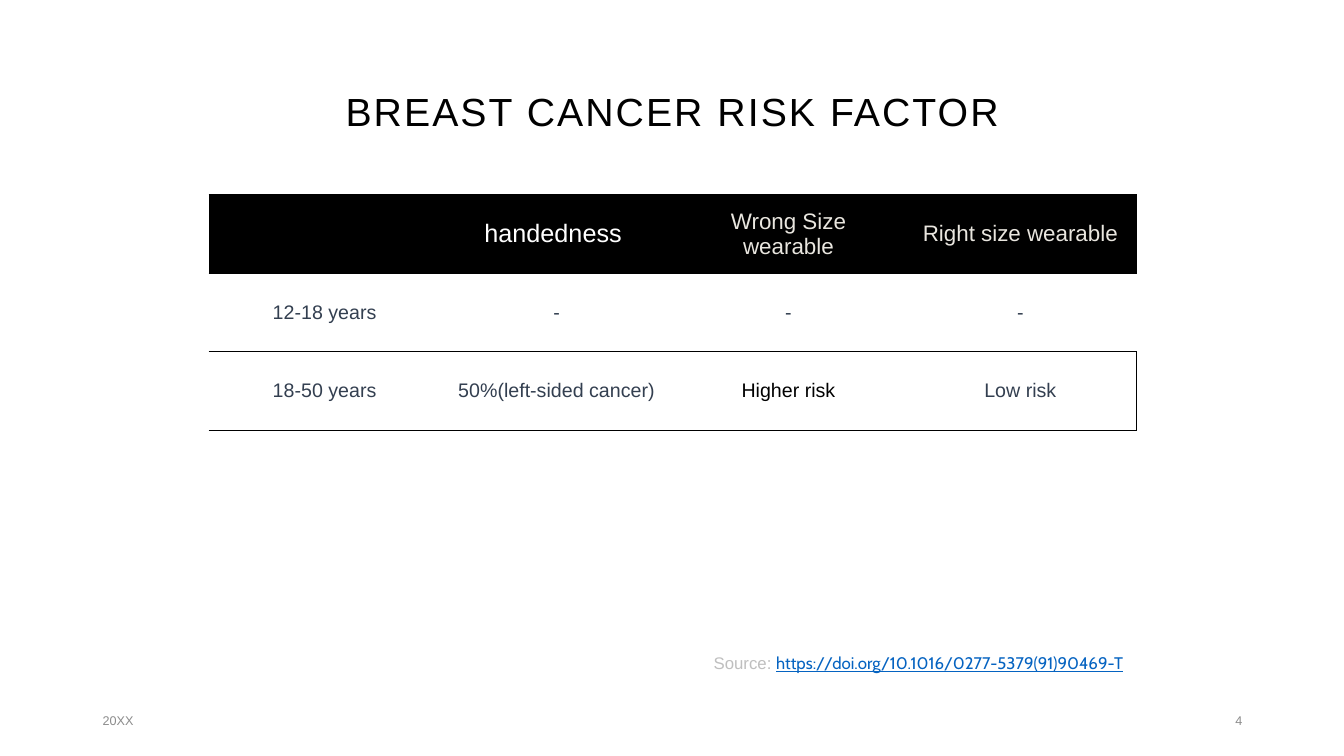
from dataclasses import dataclass

from lxml.etree import SubElement
from pptx import Presentation
from pptx.dml.color import RGBColor
from pptx.enum.text import MSO_ANCHOR as Anchor, PP_ALIGN as Align
from pptx.oxml.ns import qn
from pptx.slide import Slide
from pptx.table import _Cell as Cell
from pptx.util import Inches, Pt

BLACK = RGBColor(0x00, 0x00, 0x00)
WHITE = RGBColor(0xFF, 0xFF, 0xFF)
CREAM = RGBColor(0xE9, 0xE6, 0xDF)
SLATE = RGBColor(0x33, 0x3F, 0x50)
GREY = RGBColor(0x8C, 0x8C, 0x8C)
SILVER = RGBColor(0xBF, 0xBF, 0xBF)
BLUE = RGBColor(0x05, 0x63, 0xC1)


@dataclass
class Span:
    text: str
    size: float
    color: RGBColor
    font: str = "Arial"
    under: bool = False


@dataclass
class Label:
    left: float
    top: float
    width: float
    height: float
    spans: list[Span]
    align: Align = Align.LEFT
    anchor: Anchor = Anchor.MIDDLE


def write(para, spans: list[Span], align: Align) -> None:
    para.alignment = align
    for span in spans:
        run = para.add_run()
        run.text = span.text
        font = run.font
        font.name, font.size = span.font, Pt(span.size)
        font.color.rgb = span.color
        if span.under:
            font.underline = True


def draw_label(slide: Slide, label: Label):
    box = slide.shapes.add_textbox(Inches(label.left), Inches(label.top),
                                   Inches(label.width), Inches(label.height))
    frame = box.text_frame
    frame.word_wrap = True
    frame.vertical_anchor = label.anchor
    write(frame.paragraphs[0], label.spans, label.align)
    return frame.paragraphs[0]


def set_edges(cell: Cell, sides: str) -> None:
    """Rule the given sides (L, R, T, B) and clear the others."""
    props = cell._tc.get_or_add_tcPr()
    for spot, side in enumerate("LRTB"):
        line = SubElement(props, qn(f"a:ln{side}"), w=str(Pt(0.5)))
        if side in sides:
            fill = SubElement(line, qn("a:solidFill"))
            SubElement(fill, qn("a:srgbClr"), val=str(BLACK))
        else:
            SubElement(line, qn("a:noFill"))
        props.insert(spot, line)


def draw_table(slide: Slide, rows: list[list[Span]]) -> None:
    count, wide = len(rows), len(rows[0])
    table = slide.shapes.add_table(
        count, wide, Inches(2.07), Inches(1.93),
        Inches(2.3 * wide), Inches(0.78 * count)).table
    table.first_row = table.horz_banding = False
    for y, row in enumerate(rows):
        for x, span in enumerate(row):
            cell = table.cell(y, x)
            cell.vertical_anchor = Anchor.MIDDLE
            if span.text:
                write(cell.text_frame.paragraphs[0], [span], Align.CENTER)
            if y == 0:
                cell.fill.solid()
                cell.fill.fore_color.rgb = BLACK
            else:
                cell.fill.background()
            # The last row is closed on its right side only
            closed = x == wide - 1 and y != 1
            set_edges(cell, "TB" + ("R" if closed else ""))


TITLE = Label(0.92, 0.4, 11.5, 1.45,
              [Span("BREAST CANCER RISK FACTOR", 28, BLACK)], Align.CENTER)
NOTES = [
    Label(0.92, 6.95, 3, 0.4, [Span("20XX", 9, GREY)]),
    Label(9.42, 6.95, 3, 0.4, [Span("4", 9, GREY)], Align.RIGHT),
    Label(6.98, 6.43, 5.44, 0.3,
          [Span("Source: ", 12, SILVER),
           Span("https://doi.org/10.1016/0277-5379(91)90469-T", 12, BLUE,
                "Cabin", True)], anchor=Anchor.TOP),
]
ROWS = [
    [Span("", 16, CREAM), Span("handedness ", 18, WHITE),
     Span("Wrong Size wearable", 16, CREAM),
     Span("Right size wearable", 16, CREAM)],
    [Span(text, 14, SLATE) for text in ("12-18 years", "-", "-", "-")],
    [Span("18-50 years", 14, SLATE),
     Span("50%(left-sided cancer)", 14, SLATE),
     Span("Higher risk", 14, BLACK), Span("Low risk", 14, SLATE)],
]


def main() -> None:
    deck = Presentation()
    deck.slide_width, deck.slide_height = Inches(13.33), Inches(7.5)
    slide = deck.slides.add_slide(deck.slide_layouts[6])

    # Title with wide letter spacing
    head = draw_label(slide, TITLE)
    head.line_spacing = 0.9
    head.runs[0]._r.get_or_add_rPr().set("spc", "150")

    # Risk table
    draw_table(slide, ROWS)

    # Footer and source
    for note in NOTES:
        draw_label(slide, note)

    deck.save("out.pptx")


if __name__ == "__main__":
    main()
